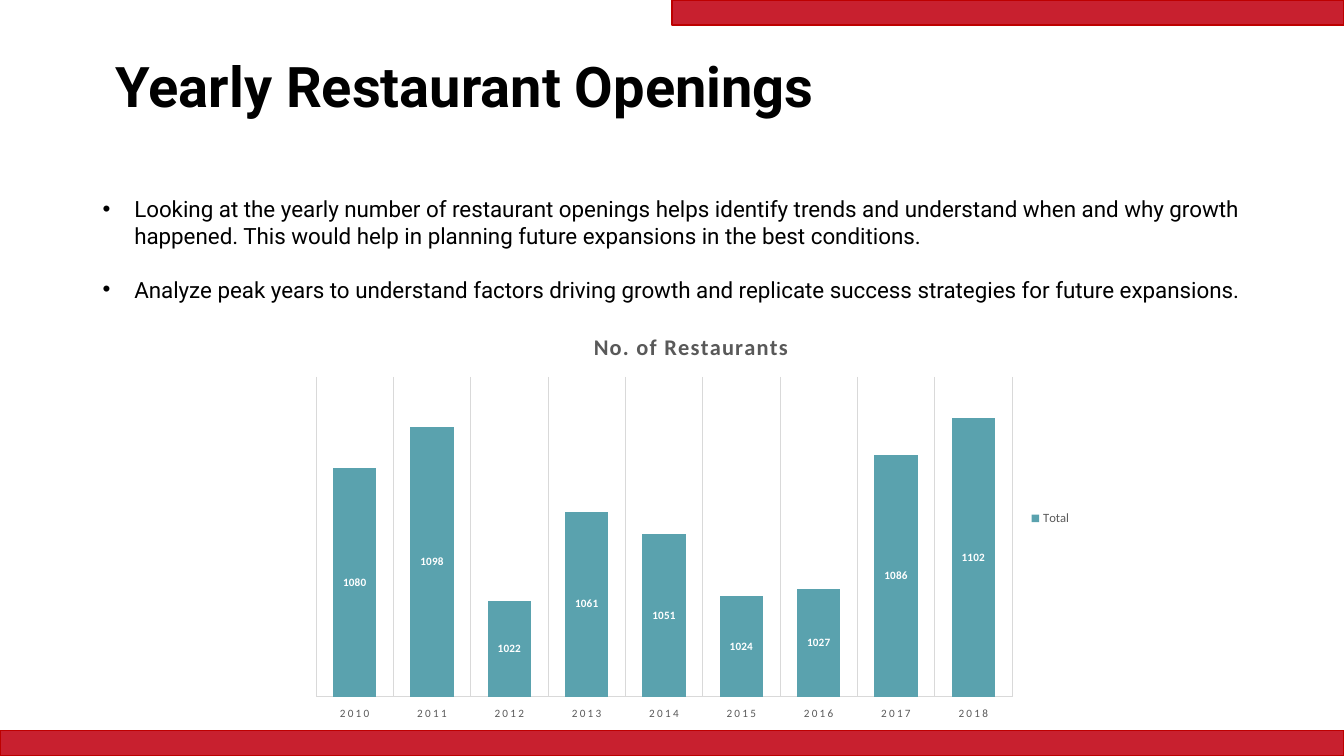
from lxml.etree import SubElement
from pptx import Presentation
from pptx.chart.data import CategoryChartData
from pptx.dml.color import RGBColor
from pptx.enum.chart import XL_CHART_TYPE as ChartType, XL_LABEL_POSITION as LabelPosition
from pptx.enum.chart import XL_LEGEND_POSITION as LegendPosition, XL_TICK_LABEL_POSITION as TickLabel
from pptx.enum.chart import XL_TICK_MARK as TickMark
from pptx.enum.shapes import MSO_SHAPE as Shape
from pptx.enum.text import MSO_ANCHOR as Anchor, MSO_AUTO_SIZE as AutoSize, PP_ALIGN as Align
from pptx.oxml.ns import qn
from pptx.util import Pt

OPENINGS = {
    "2010": 1080, "2011": 1098, "2012": 1022, "2013": 1061, "2014": 1051,
    "2015": 1024, "2016": 1027, "2017": 1086, "2018": 1102,
}
POINTS = [
    "Looking at the yearly number of restaurant openings helps identify trends and understand "
    "when and why growth happened. This would help in planning future expansions in the best conditions.",
    "Analyze peak years to understand factors driving growth and replicate success strategies "
    "for future expansions.",
]


def color(hex_value):
    return RGBColor.from_string(hex_value)


def assign(target, values):
    for name, value in values.items():
        setattr(target, name, value)


class SlideBuilder:
    """Holds the slide style and draws each kind of element on the current page."""

    text_font, chart_font = "Roboto", "Calibri"
    black, white, gray, grid = "000000", "FFFFFF", "595959", "D9D9D9"
    red, dark_red, teal = "C8202F", "BD0000", "5AA2AE"

    def __init__(self, page):
        self.page = page

    def place(self, shape, left, top, width, height):
        box = {"left": left, "top": top, "width": width, "height": height}
        assign(shape, {side: Pt(length) for side, length in box.items()})

    def font(self, font, name, size, hex_value, bold=False):
        assign(font, {"name": name, "size": Pt(size), "bold": bold})
        font.color.rgb = color(hex_value)

    def line(self, line, hex_value, width):
        line.color.rgb = color(hex_value)
        line.width = Pt(width)

    def band(self, left, top, width, height):
        band = self.page.shapes.add_shape(Shape.RECTANGLE, Pt(left), Pt(top), Pt(width), Pt(height))
        band.shadow.inherit = False
        band.fill.solid()
        band.fill.fore_color.rgb = color(self.red)
        self.line(band.line, self.dark_red, 1)

    def title(self, text, *box):
        title = self.page.shapes.title
        self.place(title, *box)
        frame = title.text_frame
        frame.text = text
        assign(frame, {"vertical_anchor": Anchor.MIDDLE, "auto_size": AutoSize.NONE})
        para = frame.paragraphs[0]
        assign(para, {"alignment": Align.LEFT, "line_spacing": 0.9})
        self.font(para.runs[0].font, self.text_font, 40, self.black, True)

    def bullets(self, items, *box):
        body = self.page.placeholders[1]
        self.place(body, *box)
        frame = body.text_frame
        frame.text = "\n".join(items)
        frame.auto_size = AutoSize.SHAPE_TO_FIT_TEXT
        for index, para in enumerate(frame.paragraphs):
            para.space_before = Pt(19 if index else 0)
            self.font(para.runs[0].font, self.text_font, 16, self.black)
            properties = para._p.get_or_add_pPr()
            properties.set("marL", str(Pt(22.5)))
            properties.set("indent", str(Pt(-22.5)))
            SubElement(properties, qn("a:buFont"), typeface="Arial")
            SubElement(properties, qn("a:buChar"), char="•")

    def column_chart(self, heading, series_name, values, *box):
        data = CategoryChartData()
        data.categories = list(values)
        data.add_series(series_name, list(values.values()))
        chart = self.page.shapes.add_chart(ChartType.COLUMN_STACKED, *map(Pt, box), data).chart
        self.font(chart.font, self.chart_font, 10, self.black)
        self.chart_heading(chart, heading)
        self.chart_axes(chart)
        self.chart_columns(chart.plots[0])
        chart.has_legend = True
        assign(chart.legend, {"position": LegendPosition.RIGHT, "include_in_layout": False})
        self.font(chart.legend.font, self.chart_font, 9, self.gray)
        self.plot_layout(chart, x=0.02, y=0.153, w=0.891, h=0.784)

    def chart_heading(self, chart, heading):
        chart.has_title = True
        frame = chart.chart_title.text_frame
        frame.text = heading
        span = frame.paragraphs[0].runs[0]
        self.font(span.font, self.chart_font, 16, self.gray, True)
        span._r.get_or_add_rPr().set("spc", "100")

    def chart_axes(self, chart):
        assign(chart.value_axis, {
            "visible": False, "has_major_gridlines": False,
            "minimum_scale": 980, "maximum_scale": 1120,
        })
        years = chart.category_axis
        assign(years, {
            "has_major_gridlines": True, "major_tick_mark": TickMark.NONE,
            "minor_tick_mark": TickMark.NONE, "tick_label_position": TickLabel.LOW,
        })
        for line in (years.format.line, years.major_gridlines.format.line):
            self.line(line, self.grid, 0.75)
        self.font(years.tick_labels.font, self.chart_font, 8, self.gray)
        for properties in chart.element.xpath(".//c:catAx//a:defRPr"):
            properties.set("spc", "150")

    def chart_columns(self, plot):
        assign(plot, {"gap_width": 79, "overlap": 100, "vary_by_categories": False})
        series = plot.series[0]
        series.format.fill.solid()
        series.format.fill.fore_color.rgb = color(self.teal)
        labels = series.data_labels
        assign(labels, {"show_value": True, "position": LabelPosition.CENTER})
        self.font(labels.font, self.chart_font, 8, self.white, True)

    def plot_layout(self, chart, **fractions):
        area = chart.element.xpath(".//c:plotArea")[0]
        for old in area.findall(qn("c:layout")):
            area.remove(old)
        layout = SubElement(area, qn("c:layout"))
        area.insert(0, layout)
        manual = SubElement(layout, qn("c:manualLayout"))
        settings = {"layoutTarget": "inner", "xMode": "edge", "yMode": "edge", **fractions}
        for name, value in settings.items():
            SubElement(manual, qn(f"c:{name}"), val=str(value))


def main():
    deck = Presentation()
    assign(deck, {"slide_width": Pt(960), "slide_height": Pt(540)})
    builder = SlideBuilder(deck.slides.add_slide(deck.slide_layouts[1]))
    builder.band(0, 522, 960, 18)
    builder.band(480, 0, 480, 18)
    builder.title("Yearly Restaurant Openings", 75.6, 28.8, 828, 70.6)
    builder.bullets(POINTS, 66.2, 136, 847.4, 85)
    builder.column_chart("No. of Restaurants", "Total", OPENINGS, 214.6, 224.6, 558, 291.6)
    deck.save("out.pptx")


if __name__ == "__main__":
    main()
